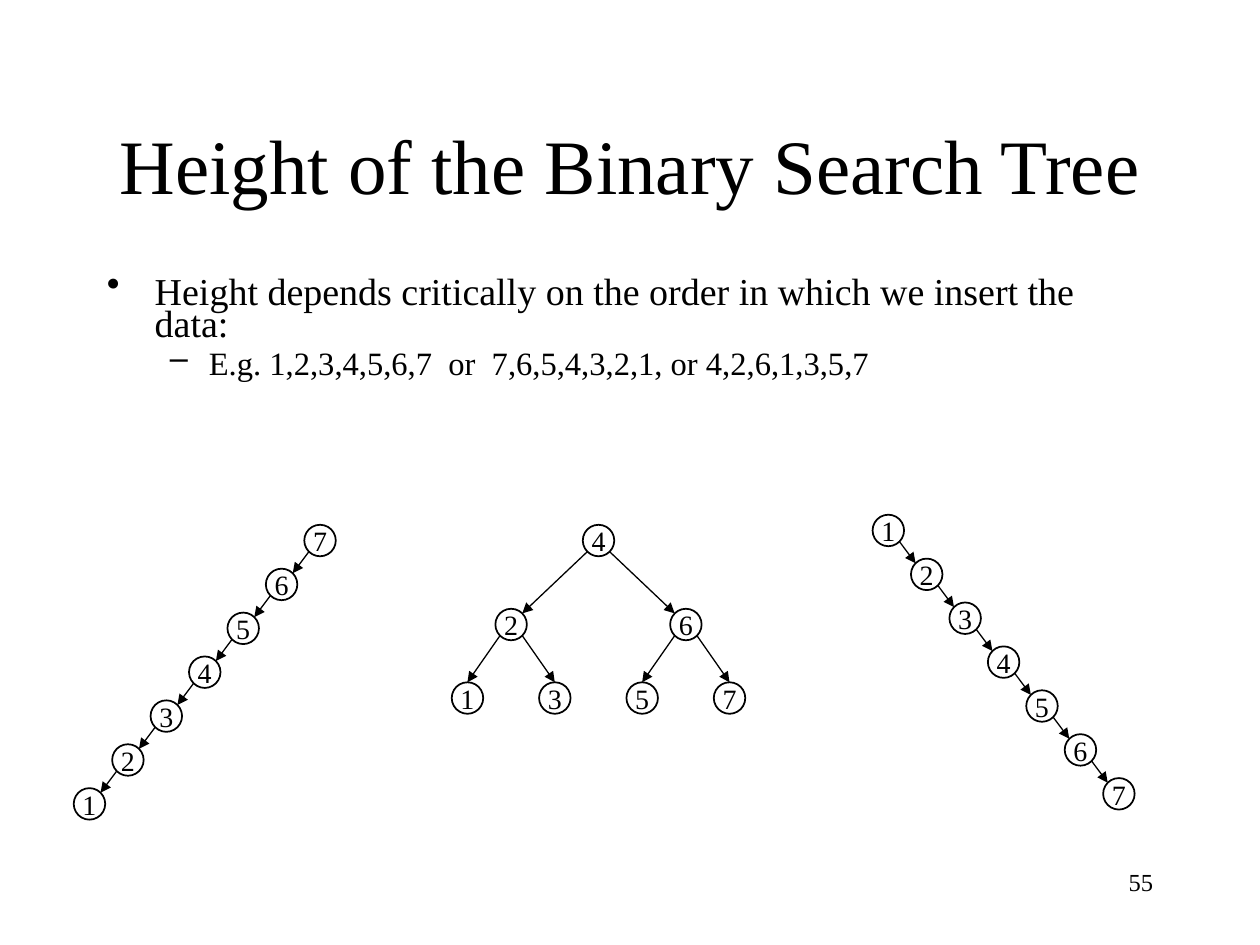
from dataclasses import dataclass

from pptx import Presentation
from pptx.dml.color import RGBColor
from pptx.enum.shapes import MSO_CONNECTOR as Link, MSO_SHAPE as Kind
from pptx.enum.text import MSO_ANCHOR as Anchor, PP_ALIGN as Align
from pptx.oxml.ns import qn
from pptx.util import Inches, Pt
from lxml.etree import SubElement


@dataclass(frozen=True)
class Theme:
    ink: RGBColor = RGBColor(0, 0, 0)
    font: str = "Times New Roman"
    title: float = 44
    body: float = 21.7
    sub: float = 18.6
    node: float = 16
    page: float = 14
    ring: float = 1
    edge: float = 0.75


@dataclass(frozen=True)
class Tree:
    """Keys fill seven columns; x, y, w and h span the node centres."""
    x: float
    y: float
    w: float
    h: float
    order: tuple[int, ...]
    rows: tuple[float, ...]


@dataclass(frozen=True)
class Item:
    text: str
    mark: str
    size: float
    left: float
    hang: float
    gap: float


THEME = Theme()
SIZE = 0.25
DIAG = SIZE / 2 * 0.5 ** 0.5
STEEP = 1.5
STEPS = tuple(i / 6 for i in range(7))
UP = (1, 2, 3, 4, 5, 6, 7)

TREES = (
    Tree(7.05, 4.21, 1.83, 2.09, UP, STEPS),
    Tree(0.71, 4.29, 1.83, 2.09, UP[::-1], STEPS),
    Tree(3.71, 4.29, 2.08, 1.25, (4, 2, 6, 1, 3, 5, 7), (0, 8 / 15, 1)),
)
ITEMS = (
    Item("Height depends critically on the order in which we insert the data:",
         "•", THEME.body, 0.38, 0.38, 0),
    Item("E.g. 1,2,3,4,5,6,7  or  7,6,5,4,3,2,1, or 4,2,6,1,3,5,7",
         "–", THEME.sub, 0.81, 0.31, 6),
)


def add_run(para, text: str, size: float) -> None:
    run = para.add_run()
    run.text = text
    run.font.size = Pt(size)
    run.font.name = THEME.font
    run.font.color.rgb = THEME.ink


def add_box(slide, x: float, y: float, w: float, h: float):
    frame = slide.shapes.add_textbox(*map(Inches, (x, y, w, h))).text_frame
    frame.word_wrap = True
    return frame


def add_line(slide, text: str, size: float, align, *box: float):
    frame = add_box(slide, *box)
    para = frame.paragraphs[0]
    para.alignment = align
    add_run(para, text, size)
    return frame


def add_list(slide, items: tuple[Item, ...], *box: float) -> None:
    frame = add_box(slide, *box)
    for i, item in enumerate(items):
        para = frame.add_paragraph() if i else frame.paragraphs[0]
        para.level = i
        para.line_spacing = 0.7
        para.space_before = Pt(item.gap)
        props = para._p.get_or_add_pPr()
        props.set("marL", str(Inches(item.left)))
        props.set("indent", str(-Inches(item.hang)))
        SubElement(props, qn("a:buChar"), char=item.mark)
        add_run(para, item.text, item.size)


def add_node(slide, key: int, x: float, y: float) -> None:
    half = SIZE / 2
    ring = slide.shapes.add_shape(
        Kind.OVAL, *map(Inches, (x - half, y - half, SIZE, SIZE)))
    ring.shadow.inherit = False
    ring.fill.background()
    ring.line.color.rgb = THEME.ink
    ring.line.width = Pt(THEME.ring)
    frame = ring.text_frame
    frame.word_wrap = False
    frame.vertical_anchor = Anchor.MIDDLE
    para = frame.paragraphs[0]
    para.alignment = Align.CENTER
    add_run(para, str(key), THEME.node)


def add_edge(slide, start: tuple[float, float], end: tuple[float, float]) -> None:
    """Link two node centres; a steep arrow enters at the top of the child."""
    (x1, y1), (x2, y2) = start, end
    side = DIAG if x2 > x1 else -DIAG
    steep = (y2 - y1) / abs(x2 - x1) > STEEP
    tip = (x2, y2 - SIZE / 2) if steep else (x2 - side, y2 - DIAG)
    edge = slide.shapes.add_connector(
        Link.STRAIGHT, *map(Inches, (x1 + side, y1 + DIAG, *tip)))
    edge.line.color.rgb = THEME.ink
    edge.line.width = Pt(THEME.edge)
    SubElement(edge.line._get_or_add_ln(), qn("a:tailEnd"), type="triangle")
    SubElement(edge._element.spPr, qn("a:effectLst"))


def grow(order: tuple[int, ...]) -> dict[int, tuple[int | None, int]]:
    """Insert keys in order; give each its parent and depth."""
    nodes = {}
    for key in order:
        near = [max((k for k in nodes if k < key), default=None),
                min((k for k in nodes if k > key), default=None)]
        above = [k for k in near if k is not None]
        root = max(above, key=lambda k: nodes[k][1], default=None)
        nodes[key] = (root, 0 if root is None else nodes[root][1] + 1)
    return nodes


def add_tree(slide, tree: Tree) -> None:
    nodes = grow(tree.order)
    spots = {key: (tree.x + tree.w * STEPS[key - 1],
                   tree.y + tree.h * tree.rows[depth])
             for key, (_, depth) in nodes.items()}
    for key, spot in spots.items():
        add_node(slide, key, *spot)
    for key, (root, _) in nodes.items():
        if root is not None:
            add_edge(slide, spots[root], spots[key])


def main() -> None:
    deck = Presentation()
    deck.slide_width, deck.slide_height = Inches(10), Inches(7.5)
    slide = deck.slides.add_slide(deck.slide_layouts[6])
    add_line(slide, "55", THEME.page, Align.RIGHT, 7.17, 6.83, 2.08, 0.5)
    title = add_line(slide, "Height of the Binary Search Tree", THEME.title,
                     Align.CENTER, 0.75, 0.67, 8.5, 1.25)
    title.vertical_anchor = Anchor.MIDDLE
    add_list(slide, ITEMS, 0.75, 2.17, 8.5, 1.25)
    for tree in TREES:
        add_tree(slide, tree)
    deck.save("out.pptx")


if __name__ == "__main__":
    main()
